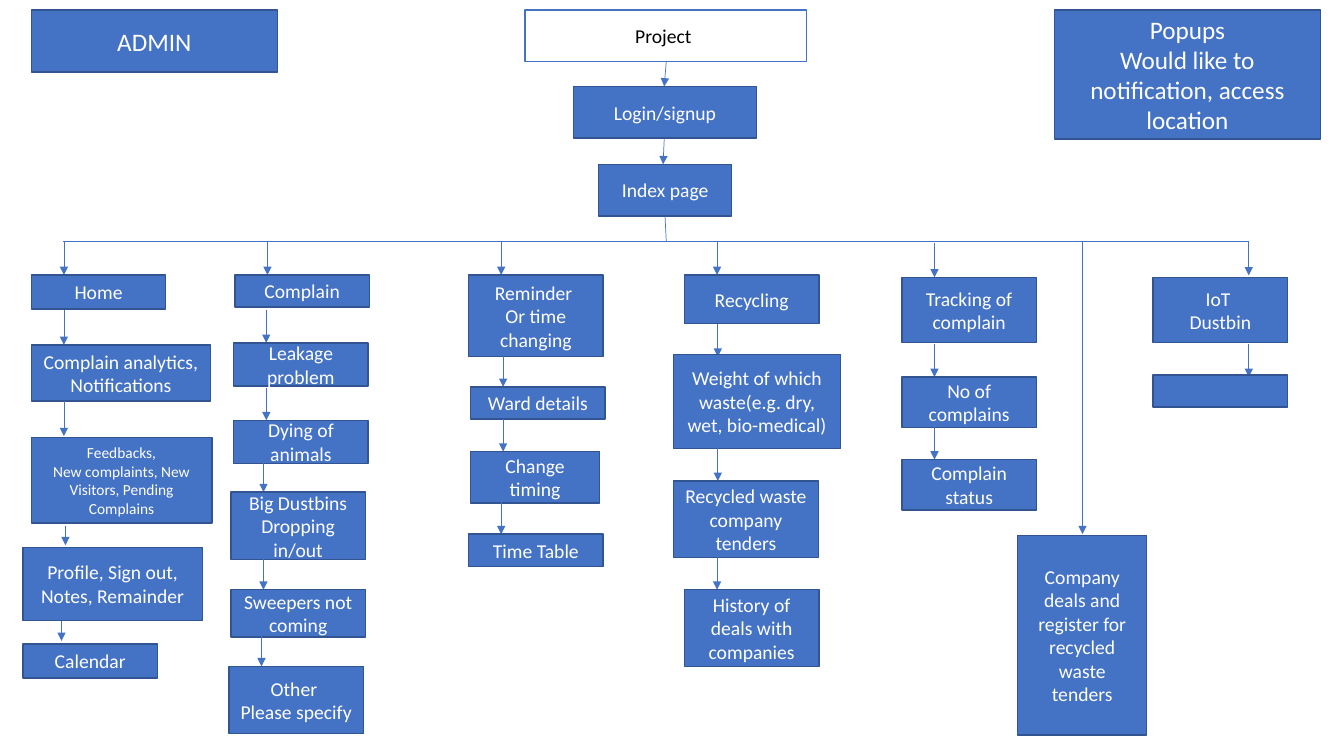
"""Draw the site map of a waste management project as a flowchart slide."""
from typing import NamedTuple

from lxml.etree import SubElement
from pptx import Presentation
from pptx.dml.color import RGBColor
from pptx.enum.shapes import MSO_CONNECTOR, MSO_SHAPE
from pptx.enum.text import MSO_ANCHOR, PP_ALIGN
from pptx.oxml.ns import qn
from pptx.util import Cm, Pt

BLUE = RGBColor(0x44, 0x72, 0xC4)
NAVY = RGBColor(0x32, 0x54, 0x91)
WHITE = RGBColor(0xFF, 0xFF, 0xFF)
BLACK = RGBColor(0x00, 0x00, 0x00)

TOP = 0.25
BUS = 6.07
BUS_LEFT, BUS_RIGHT = 1.6, 31.47
TRUNK = 16.79


class Step(NamedTuple):
    text: str
    left: float
    top: float
    height: float
    width: float = 3.39
    inset: float = 0.82
    arrow: float = 0.82
    gap: float = 0
    size: int = 14


class Flowchart:
    frame_format = {"word_wrap": True, "vertical_anchor": MSO_ANCHOR.MIDDLE}

    def __init__(self, slide):
        self.shapes = slide.shapes

    def box(self, text, left, top, width, height, size=14,
            fill=BLUE, outline=NAVY, ink=WHITE):
        node = self.shapes.add_shape(
            MSO_SHAPE.RECTANGLE, Cm(left), Cm(top), Cm(width), Cm(height))
        node.shadow.inherit = False
        node.fill.solid()
        node.fill.fore_color.rgb = fill
        node.line.color.rgb = outline
        node.line.width = Pt(1)
        frame = node.text_frame
        frame.text = text
        for name, value in self.frame_format.items():
            setattr(frame, name, value)
        font_format = {"name": "Calibri", "size": Pt(size)}
        for paragraph in frame.paragraphs:
            paragraph.alignment = PP_ALIGN.CENTER
            for name, value in font_format.items():
                setattr(paragraph.font, name, value)
            for run in paragraph.runs:
                for name, value in font_format.items():
                    setattr(run.font, name, value)
                run.font.color.rgb = ink

    def line(self, x1, y1, x2, y2, head=False):
        link = self.shapes.add_connector(
            MSO_CONNECTOR.STRAIGHT, Cm(x1), Cm(y1), Cm(x2), Cm(y2))
        link.line.color.rgb = BLUE
        link.line.width = Pt(0.5)
        if head:
            SubElement(link.line._get_or_add_ln(), qn("a:tailEnd"), type="triangle")
        SubElement(link._element.spPr, qn("a:effectLst"))

    def branch(self, steps):
        for step in steps:
            x = step.left + step.inset
            tip = step.top - step.gap
            self.line(x, tip - step.arrow, x, tip, head=True)
            self.box(step.text, step.left, step.top, step.width, step.height, step.size)


BRANCHES = [
    [Step("Home", 0.79, 6.93, 0.86, arrow=0.86),
     Step("Complain analytics,\nNotifications", 0.79, 8.69, 1.42, 4.52, arrow=0.89),
     Step("Feedbacks,\nNew complaints, New Visitors, Pending Complains",
          0.79, 11.02, 2.16, 4.55, arrow=0.89, gap=0.03, size=11),
     Step("Profile, Sign out, Notes, Remainder",
          0.58, 13.79, 1.85, 4.52, inset=1.07, arrow=0.48, gap=0.05),
     Step("Calendar", 0.58, 16.23, 0.86, inset=0.97, arrow=0.51, gap=0.08)],
    [Step("Complain", 5.92, 6.93, 0.81),
     Step("Leakage problem", 5.89, 8.64, 1.09),
     Step("Dying of animals", 5.89, 10.59, 1.09),
     Step("Big Dustbins Dropping in/out", 5.82, 12.4, 1.7),
     Step("Sweepers not coming", 5.82, 14.86, 1.19),
     Step("Other \nPlease specify", 5.77, 16.79, 1.7)],
    [Step("Reminder \nOr time changing", 11.81, 6.93, 2.06, arrow=0.86),
     Step("Ward details", 11.86, 9.75, 0.81),
     Step("Change timing", 11.86, 11.38, 1.3, 3.25),
     Step("Time Table", 11.81, 13.46, 0.81)],
    [Step("Recycling", 17.25, 6.93, 1.22, arrow=0.86),
     Step("Weight of which waste(e.g. dry, wet, bio-medical)",
          16.97, 8.94, 2.36, 4.22, inset=1.12, gap=-0.05),
     Step("Recycled waste company tenders", 16.97, 12.12, 1.93, 3.66, inset=1.12),
     Step("History of deals with companies", 17.25, 14.86, 1.93)],
    [Step("Tracking of complain", 22.73, 6.99, 1.65, arrow=0.86),
     Step("No of complains", 22.73, 9.5, 1.27),
     Step("Complain status", 22.73, 11.58, 1.27)],
    [Step("IoT \nDustbin", 29.06, 6.99, 1.65, inset=2.41, arrow=0.87, gap=0.05),
     Step("", 29.06, 9.45, 0.81, inset=2.41, gap=-0.05)],
    [Step("Company deals and register for recycled waste tenders",
          25.65, 13.49, 5.03, 3.25, inset=1.63, arrow=7.39, gap=0.03)],
]


def main():
    deck = Presentation()
    deck.slide_width, deck.slide_height = Cm(33.87), Cm(19.05)
    chart = Flowchart(deck.slides.add_slide(deck.slide_layouts[6]))

    chart.box("ADMIN", 0.79, TOP, 6.2, 1.57, size=18)
    chart.box("Popups\nWould like to notification, access location",
              26.57, TOP, 6.71, 3.25, size=18)

    chart.box("Project ", 13.23, TOP, 7.09, 1.3, fill=WHITE, outline=BLUE, ink=BLACK)
    chart.line(TRUNK, 1.55, 16.74, 2.18, head=True)
    chart.box("Login/signup", 14.45, 2.18, 4.62, 1.3)
    chart.line(16.74, 3.51, 16.71, 4.14, head=True)
    chart.box("Index page", 15.09, 4.14, 3.35, 1.3)
    chart.line(16.76, 5.46, TRUNK, BUS)
    for end in (BUS_LEFT, BUS_RIGHT):
        chart.line(TRUNK, BUS, end, BUS)

    for steps in BRANCHES:
        chart.branch(steps)
    deck.save("out.pptx")


if __name__ == "__main__":
    main()
